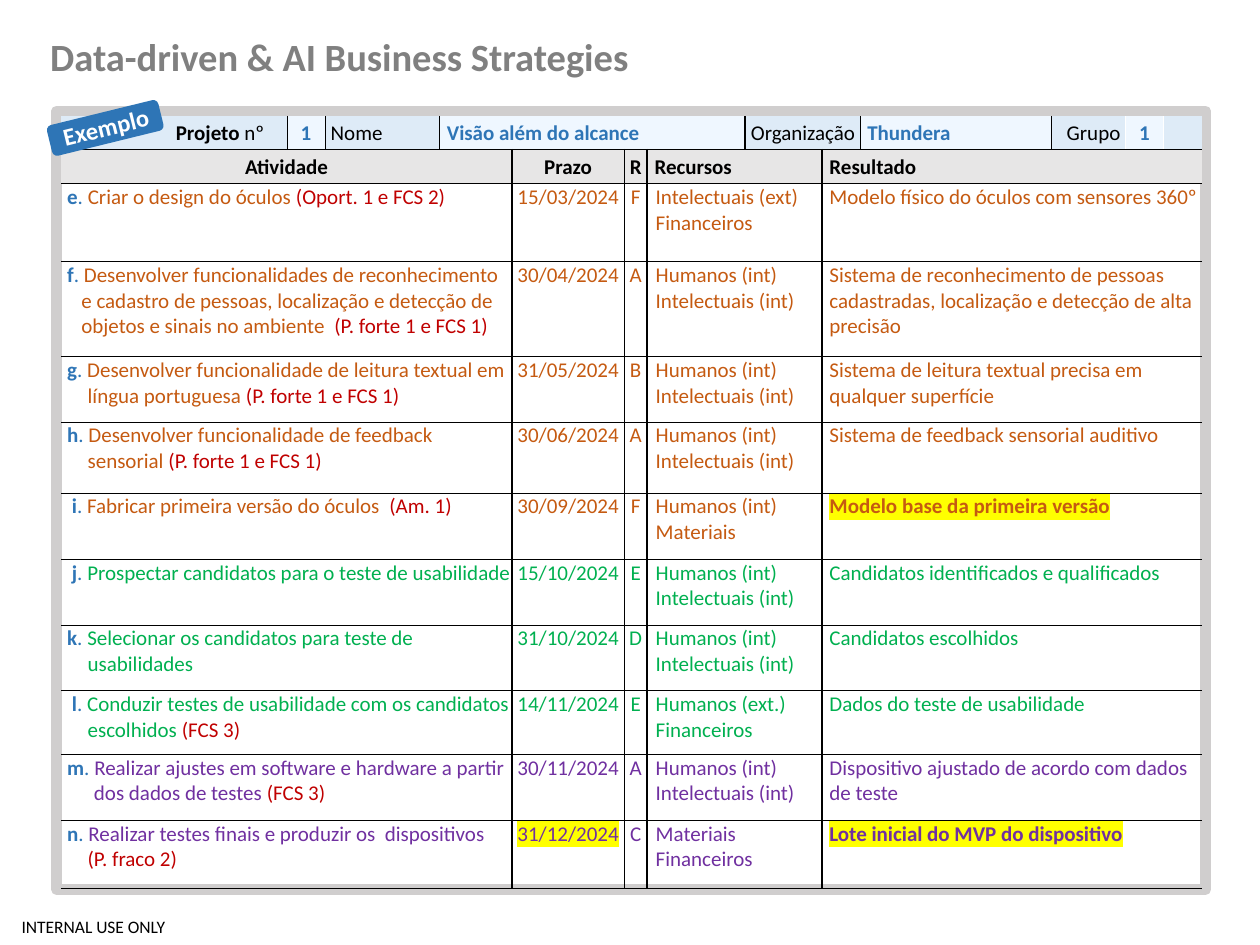
import pptx
import pptx.dml.color
import pptx.enum.shapes
import pptx.enum.text
import pptx.oxml
import pptx.oxml.ns
import pptx.util
from lxml import etree

Pt = pptx.util.Pt
qn = pptx.oxml.ns.qn
ALIGN = pptx.enum.text.PP_ALIGN
ANCHOR = pptx.enum.text.MSO_ANCHOR
SHAPE = pptx.enum.shapes.MSO_SHAPE

THEME = {
    "font": "Calibri", "title_size": 22, "badge_size": 14, "body_size": 12, "footer_size": 10,
    "black": "000000", "white": "FFFFFF", "title": "808080", "frame": "D0CECE",
    "blue": "2E75B6", "label": "DEEBF7", "value": "EFF7FF", "header": "E7E6E6",
    "design": "C55A11", "recruit": "00B050", "finish": "7030A0", "reference": "C00000",
    "highlight": "FFFF00",
}

COLUMNS = [129, 21.6, 65.5, 41.5, 64.2, 13, 56, 44, 21.6, 109.5, 42.3, 21.9, 21.9]
ROWS = [19.3, 19.3, 44.6, 54.5, 37.2, 40.6, 38, 37.4, 37.6, 36.4, 37.6, 38.9]
INSET = 0.7

HAIR, THICK, WHITE = (0.25, "black"), (1, "black"), (1, "white")

PROJECT = [
    (1, "label", [("Projeto ", True), ("nº", False)], 64.8, HAIR),
    (1, "value", [("1", True)], None, HAIR),
    (1, "label", [("Nome", False)], 2.7, HAIR),
    (4, "value", [("Visão além do alcance", True)], 3.6, THICK),
    (2, "label", [("Organização", False)], 2.7, HAIR),
    (1, "value", [("Thundera", True)], 3.6, THICK),
    (1, "label", [("Grupo", False)], 8.1, WHITE),
    (1, "value", [("1", True)], None, WHITE),
    (1, "label", [], 0, None),
]

HEADINGS = [("Atividade", 4, None), ("Prazo", 1, None), ("R", 1, None),
            ("Recursos", 2, 3.6), ("Resultado", 5, 3.6)]

PEOPLE_AND_MINDS = ("Humanos (int)", "Intelectuais (int)")
ACTIVITIES = [
    ("design", "e", "Criar o design do óculos ", "(Oport. 1 e FCS 2)", "15/03/2024", "F",
     ("Intelectuais (ext)", "Financeiros"), "Modelo físico do óculos com sensores 360º"),
    ("design", "f", "Desenvolver funcionalidades de reconhecimento e cadastro de pessoas, "
     "localização e detecção de objetos e sinais no ambiente  ", "(P. forte 1 e FCS 1)",
     "30/04/2024", "A", PEOPLE_AND_MINDS,
     "Sistema de reconhecimento de pessoas cadastradas, localização e detecção de alta precisão"),
    ("design", "g", "Desenvolver funcionalidade de leitura textual em língua portuguesa ",
     "(P. forte 1 e FCS 1)", "31/05/2024", "B", PEOPLE_AND_MINDS,
     "Sistema de leitura textual precisa em qualquer superfície"),
    ("design", "h", "Desenvolver funcionalidade de feedback sensorial ", "(P. forte 1 e FCS 1)",
     "30/06/2024", "A", PEOPLE_AND_MINDS, "Sistema de feedback sensorial auditivo"),
    ("design", "i", "Fabricar primeira versão do óculos  ", "(Am. 1)", "30/09/2024", "F",
     ("Humanos (int)", "Materiais"), "Modelo base da primeira versão"),
    ("recruit", "j", "Prospectar candidatos para o teste de usabilidade", "", "15/10/2024", "E",
     PEOPLE_AND_MINDS, "Candidatos identificados e qualificados"),
    ("recruit", "k", "Selecionar os candidatos para teste de usabilidades", "", "31/10/2024", "D",
     PEOPLE_AND_MINDS, "Candidatos escolhidos"),
    ("recruit", "l", "Conduzir testes de usabilidade com os candidatos escolhidos ", "(FCS 3)",
     "14/11/2024", "E", ("Humanos (ext.)", "Financeiros"), "Dados do teste de usabilidade"),
    ("finish", "m", "Realizar ajustes em software e hardware a partir dos dados de testes ",
     "(FCS 3)", "30/11/2024", "A", PEOPLE_AND_MINDS,
     "Dispositivo ajustado de acordo com dados de teste"),
    ("finish", "n", "Realizar testes finais e produzir os  dispositivos ", "(P. fraco 2)",
     "31/12/2024", "C", ("Materiais", "Financeiros"), "Lote inicial do MVP do dispositivo"),
]
HANGING = {"f": 10.8, "m": 18}
LETTER_START = {"i": 5.4, "j": 5.4, "l": 5.4}
RIGHT_INSET = {"n": 10}
KEY_RESULTS = {"i", "n"}
KEY_DATES = {"n"}


def rgb(role):
    return pptx.dml.color.RGBColor.from_string(THEME[role])


def add_run(paragraph, text, color="black", bold=False, size="body_size", marked=False):
    run = paragraph.add_run()
    run.text = text
    run.font.size = Pt(THEME[size])
    run.font.bold = bold
    run.font.color.rgb = rgb(color)
    run.font.name = THEME["font"]
    if marked:
        highlight = pptx.oxml.parse_xml(
            '<a:highlight xmlns:a="http://schemas.openxmlformats.org/drawingml/2006/main">'
            f'<a:srgbClr val="{THEME["highlight"]}"/></a:highlight>')
        run.font.fill._xPr.find(qn("a:solidFill")).addnext(highlight)


def add_label(shapes, box, text, color, size, bold, align=None, inset=None, wrap=True):
    label = shapes.add_textbox(*map(Pt, box))
    frame = label.text_frame
    frame.word_wrap = wrap
    if inset is not None:
        frame.margin_left = frame.margin_right = frame.margin_top = frame.margin_bottom = Pt(inset)
        frame.vertical_anchor = ANCHOR.MIDDLE
    frame.paragraphs[0].alignment = align
    add_run(frame.paragraphs[0], text, color, bold, size)
    return label


def set_borders(cell, **lines):
    properties = cell._tc.get_or_add_tcPr()
    for side in "LRTB":
        line = etree.SubElement(properties, qn(f"a:ln{side}"))
        if lines[side]:
            width, color = lines[side]
            line.set("w", str(Pt(width)))
            fill = etree.SubElement(line, qn("a:solidFill"))
            etree.SubElement(fill, qn("a:srgbClr")).set("val", THEME[color])
        else:
            line.set("w", "0")
            etree.SubElement(line, qn("a:noFill"))


def part(paragraphs, span=1, left=None, hang=0, fill=None, right=THICK, right_inset=INSET):
    return dict(paragraphs=paragraphs, span=span, left=left, hang=hang,
                fill=fill, right=right, right_inset=right_inset)


def fill_cell(cell, content, anchor):
    cell.margin_left = cell.margin_top = Pt(INSET)
    cell.margin_right, cell.margin_bottom = Pt(content["right_inset"]), Pt(0)
    cell.vertical_anchor = anchor
    if content["fill"]:
        cell.fill.solid()
        cell.fill.fore_color.rgb = rgb(content["fill"])
    else:
        cell.fill.background()


def write_cell(cell, content):
    for index, runs in enumerate(content["paragraphs"]):
        frame = cell.text_frame
        paragraph = frame.add_paragraph() if index else frame.paragraphs[0]
        if content["left"] is None:
            paragraph.alignment = ALIGN.CENTER
        else:
            properties = paragraph._p.get_or_add_pPr()
            properties.set("marL", str(Pt(content["left"])))
            properties.set("indent", str(Pt(-content["hang"])))
        for run in runs:
            add_run(paragraph, *run[:3], marked=len(run) > 3 and run[3])


def write_row(table, row, contents, top, bottom, anchor):
    column, left_line = 0, None
    for content in contents:
        last = column + content["span"] - 1
        for position in range(column, last + 1):
            cell = table.cell(row, position)
            set_borders(cell, L=left_line, R=content["right"], T=top, B=bottom)
            fill_cell(cell, content, anchor)
            if position > column or not content["paragraphs"][0]:
                end = etree.SubElement(cell.text_frame.paragraphs[0]._p, qn("a:endParaRPr"))
                end.set("sz", str(THEME["body_size"] * 100))
        if last > column:
            table.cell(row, column).merge(table.cell(row, last))
        write_cell(table.cell(row, column), content)
        column, left_line = last + 1, content["right"]


def activity_parts(phase, letter, task, reference, date, owner, resources, result):
    hanging = HANGING.get(letter, 14.4)
    runs = [(letter, "blue", True), (". ", "blue", False), (task, phase, False)]
    if reference:
        runs.append((reference, "reference", False))
    key = letter in KEY_RESULTS
    return [
        part([runs], 4, hanging, hanging - LETTER_START.get(letter, 2.7),
             right_inset=RIGHT_INSET.get(letter, INSET)),
        part([[(date, phase, False, letter in KEY_DATES)]]),
        part([[(owner, phase, False)]]),
        part([[(resource, phase, False)] for resource in resources], 2, 4.3),
        part([[(result, phase, key, key)]], 5, 3.6, right=None),
    ]


def main():
    deck = pptx.Presentation()
    deck.slide_width, deck.slide_height = Pt(720), Pt(540)
    shapes = deck.slides.add_slide(deck.slide_layouts[6]).shapes

    add_label(shapes, (0, 519, 106.6, 21), "INTERNAL USE ONLY", "black", "footer_size",
              False, ALIGN.CENTER, 0)
    frame = shapes.add_shape(SHAPE.RECTANGLE, Pt(32.4), Pt(63.4), Pt(656.6), Pt(445))
    frame.shadow.inherit = False
    frame.fill.background()
    frame.line.color.rgb = rgb("frame")
    frame.line.width = Pt(6)
    title = add_label(shapes, (21.6, 15.1, 358.6, 33.8), "Data-driven & AI Business Strategies",
                      "title", "title_size", True)
    title.text_frame.paragraphs[0].space_after = Pt(2)

    table = shapes.add_table(len(ROWS), len(COLUMNS), Pt(35), Pt(66.2),
                             Pt(sum(COLUMNS)), Pt(sum(ROWS))).table
    table.first_row = table.horz_banding = False
    for column, width in zip(table.columns, COLUMNS):
        column.width = Pt(width)
    for row, height in zip(table.rows, ROWS):
        row.height = Pt(height)

    project = [part([[(text, "blue" if fill == "value" else "black", bold) for text, bold in runs]],
                    span, left, fill=fill, right=right)
               for span, fill, runs, left, right in PROJECT]
    headings = [part([[(text, "black", True)]], span, left, fill="header",
                     right=None if text == HEADINGS[-1][0] else THICK)
                for text, span, left in HEADINGS]
    write_row(table, 0, project, None, THICK, ANCHOR.MIDDLE)
    write_row(table, 1, headings, THICK, HAIR, ANCHOR.MIDDLE)
    for row, activity in enumerate(ACTIVITIES, 2):
        write_row(table, row, activity_parts(*activity), HAIR, HAIR, ANCHOR.TOP)

    badge = shapes.add_group_shape().shapes
    plate = badge.add_shape(SHAPE.ROUNDED_RECTANGLE, Pt(27.4), Pt(64.1), Pt(65.5), Pt(18))
    plate.shadow.inherit = False
    plate.fill.solid()
    plate.fill.fore_color.rgb = rgb("blue")
    plate.line.fill.background()
    word = add_label(badge, (28.1, 60.5, 64.8, 24.5), "Exemplo", "white", "badge_size",
                     True, ALIGN.CENTER, wrap=False)
    plate.rotation = word.rotation = 346.2

    deck.save("out.pptx")


if __name__ == "__main__":
    main()
